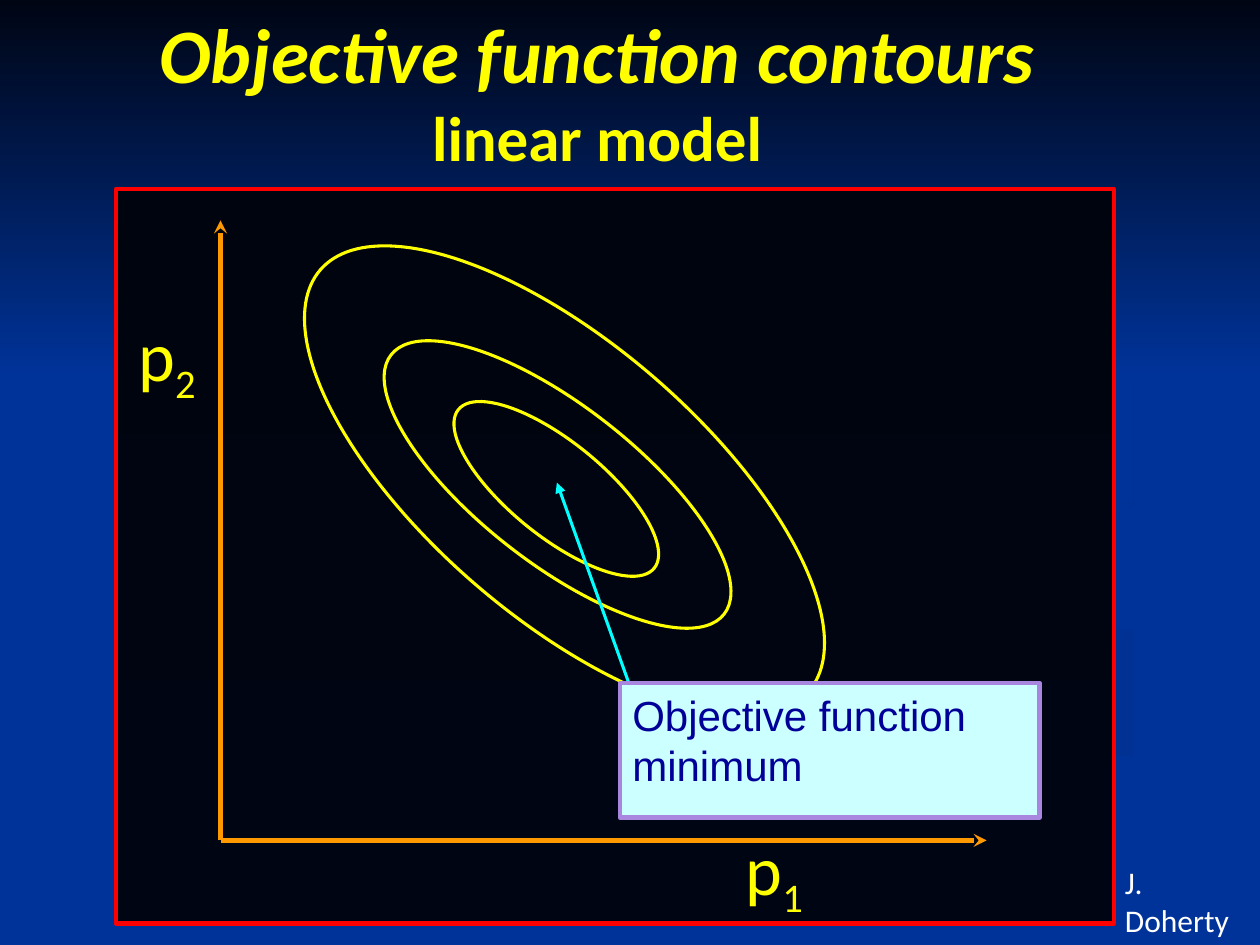
from lxml import etree
from pptx import Presentation
from pptx.dml.color import RGBColor
from pptx.enum.shapes import MSO_CONNECTOR, MSO_SHAPE
from pptx.enum.text import MSO_ANCHOR, MSO_AUTO_SIZE, PP_ALIGN
from pptx.oxml.ns import qn
from pptx.util import Inches, Pt

RECT, OVAL = MSO_SHAPE.RECTANGLE, MSO_SHAPE.OVAL
LINE = MSO_CONNECTOR.STRAIGHT
LEFT, CENTER = PP_ALIGN.LEFT, PP_ALIGN.CENTER

BLUE, NIGHT, YELLOW = "003399", "000514", "FFFF00"
ORANGE, CYAN = "FF9900", "00FFFF"

# Background ribbons: fill (start, end, angle), outline points
RIBBONS = [
    ((BLUE, "003193", 0), [
        (7.8, 5.5), (5.75, 4.59), (7.86, 5.66), (3, 7.49), (3.61, 7.49),
        (8, 5.8)]),
    ((BLUE, "003193", 45), [
        (9.43, 5.7), (9.3, 5.53), (8.9, 5.35), (7.24, 4.64), (8.7, 5.44),
        (9.07, 5.62), (9.18, 5.8), (8.94, 6.05), (9.32, 5.9)]),
    (("002F8C", BLUE, 90), [
        (5.03, 7.49), (5.71, 7.49), (7.22, 6.82), (8.61, 6.4), (9.98, 6.09),
        (9.98, 5.81), (8.67, 6.2), (6.96, 6.69)]),
    (("003091", BLUE, 45), [
        (7.81, 4.6), (8.26, 4.96), (8.05, 4.72), (8.59, 4.43), (9.98, 4.2),
        (9.98, 4.02), (8.65, 4.24)]),
    (("002F8E", BLUE, 45), [
        (6.83, 4.3), (8.55, 3.9), (8.83, 3.7), (8.94, 3.44), (8.86, 3.16),
        (7.62, 2.33), (8.7, 3), (8.89, 3.35), (8.6, 3.7), (5.77, 4.62),
        (6.22, 5), (6, 4.56)]),
    ((NIGHT, BLUE, 90), [(0, 0), (0, 3.08), (10, 3.08), (10, 0)]),
]

# Contours: left, top, width, height, rotation
RINGS = [
    (4.04, 2.88, 0.75, 2, 129),
    (3.8, 2.17, 1.25, 3.35, 127.9),
    (1.92, 2.73, 5.12, 2.17, 40.8),
]
CORNER = (1.75, 6.67)
TIPS = [(1.75, 1.75), (7.83, 6.67)]
LABELS = [("1", 5.82, 6.5), ("2", 1, 2.42)]

prs = Presentation()
prs.slide_width, prs.slide_height = Inches(10), Inches(7.5)
slide = prs.slides.add_slide(prs.slide_layouts[6])
shapes = slide.shapes


def rgb(code):
    return RGBColor.from_string(code)


def paint(fill, color):
    fill.solid()
    fill.fore_color.rgb = rgb(color)


def shade(fill, start, end, angle):
    fill.gradient()
    fill.gradient_angle = (360 - angle) % 360
    for stop, code in zip(fill.gradient_stops, (start, end)):
        stop.color.rgb = rgb(code)


def stroke(shape, color, width):
    shape.line.color.rgb = rgb(color)
    shape.line.width = Pt(width)


def draw(kind, box, color, width):
    shape = shapes.add_shape(kind, *map(Inches, box))
    shape.shadow.inherit = False
    stroke(shape, color, width)
    return shape


def arrow(start, end, color, width, head):
    line = shapes.add_connector(LINE, *map(Inches, start + end))
    stroke(line, color, width)
    edge = line._element.spPr.find(qn("a:ln"))
    etree.SubElement(edge, qn("a:tailEnd"), type=head)
    etree.SubElement(line._element.spPr, qn("a:effectLst"))


def write(para, text, size=18, font="Calibri", color=YELLOW, bold=False,
          italic=False, align=LEFT, base=None):
    para.alignment = align
    run = para.add_run()
    run.text = text
    face = run.font
    face.size, face.name, face.color.rgb = Pt(size), font, rgb(color)
    face.bold, face.italic = bold, italic
    if base:
        face._element.set("baseline", str(base * 1000))


def frame(shape, wrap=False):
    body = shape.text_frame
    body.word_wrap = wrap
    body.auto_size = MSO_AUTO_SIZE.SHAPE_TO_FIT_TEXT
    body.vertical_anchor = MSO_ANCHOR.TOP
    return body


def text_box(box, wrap=False):
    return frame(shapes.add_textbox(*map(Inches, box)), wrap)


# Background
paint(slide.background.fill, BLUE)
for tint, points in RIBBONS:
    pen = shapes.build_freeform(*points[0], scale=Inches(1))
    pen.add_line_segments(points[1:], close=True)
    ribbon = pen.convert_to_shape()
    ribbon.shadow.inherit = False
    ribbon.line.fill.background()
    shade(ribbon.fill, *tint)

# Plot panel, axes and axis labels
panel = draw(RECT, (0.92, 1.5, 7.92, 5.83), "FF0000", 2.5)
shade(panel.fill, "00040E", NIGHT, 90)
for tip in TIPS:
    arrow(CORNER, tip, ORANGE, 2.5, "stealth")
for index, left, top in LABELS:
    para = text_box((left, top, 0.79, 0.77)).paragraphs[0]
    write(para, "p", size=40)
    write(para, index, size=40, base=-25)

# Contours
for *box, turn in RINGS:
    ring = draw(OVAL, box, YELLOW, 1.75)
    ring.fill.background()
    ring.rotation = turn

# Callout at the minimum
arrow((5.08, 5.67), (4.42, 3.83), CYAN, 1.75, "triangle")
note = draw(RECT, (4.92, 5.42, 3.33, 1.07), "A886E0", 2.5)
paint(note.fill, "CCFFFF")
body = frame(note)
look = dict(size=24, font="Arial", color="000099")
write(body.paragraphs[0], "Objective function", **look)
write(body.add_paragraph(), "minimum", **look)

# Title and credit
title = text_box((1.05, 0, 7.38, 1.45))
write(title.paragraphs[0], "Objective function contours", size=44, bold=True,
      italic=True, align=CENTER)
write(title.add_paragraph(), "linear model", size=36, bold=True, align=CENTER)
credit = text_box((8.83, 6.8, 1.17, 0.7), wrap=True)
write(credit.paragraphs[0], "J. Doherty", color="FFFFFF")

prs.save("out.pptx")
